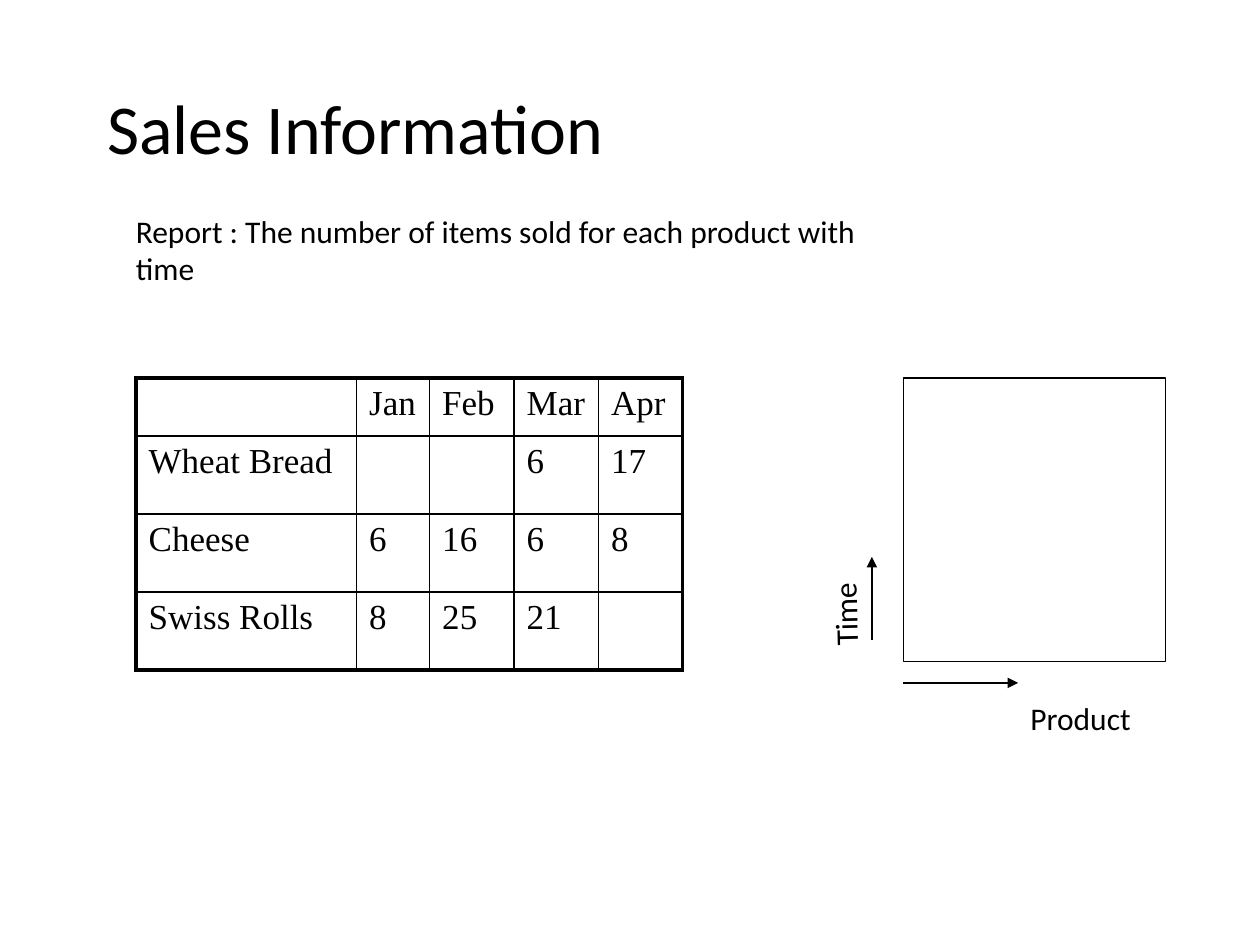
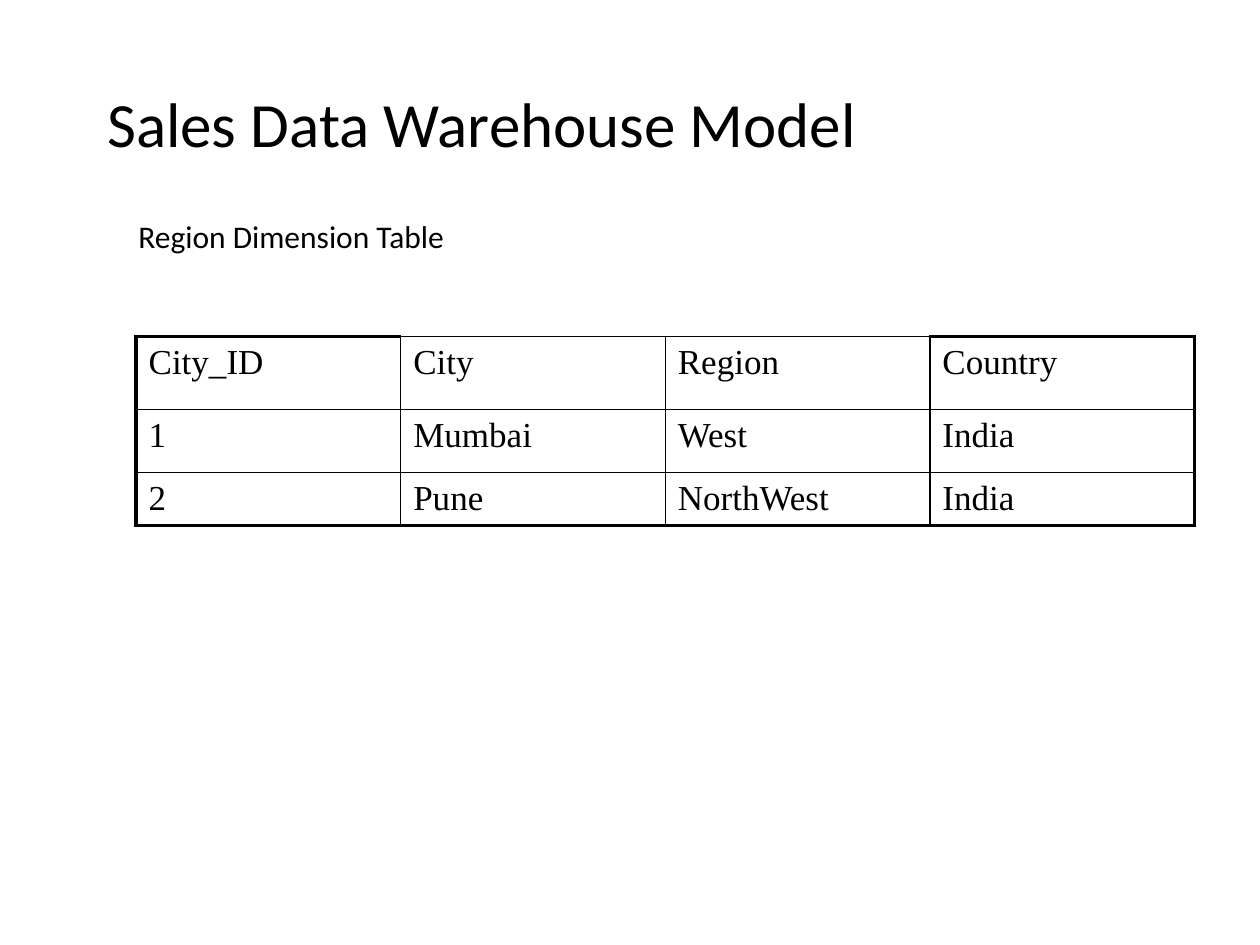
"""Build two slides on a sales data warehouse: a sales report and its region table."""
from lxml.etree import SubElement
from pptx import Presentation
from pptx.dml.color import RGBColor
from pptx.enum.shapes import MSO_CONNECTOR as Connector, MSO_SHAPE as Shape
from pptx.enum.text import MSO_ANCHOR as Anchor, MSO_AUTO_SIZE as AutoSize, PP_ALIGN as Align
from pptx.oxml.ns import qn
from pptx.util import Inches, Pt

COLORS = {"ink": "000000"}
THICK, THIN, OUTLINE = Pt(2.25), Pt(1), Pt(0.75)
TITLE_LEFT, TITLE_TOP, TITLE_WIDTH = 0.75, 0.67, 8.5
TABLE_LEFT = 1.08

LABEL_FONT = {"name": "Calibri", "size": Pt(18)}
TABLE_FONT = {"name": "Times New Roman", "size": Pt(20), "bold": False}

SLIDES = [
    {
        "title": ("Sales Information", 40, 0.75),
        "table": {
            "top": 3,
            "columns": [1.75, 0.58, 0.67, 0.67, 0.67],
            "rows": [0.46, 0.62, 0.62, 0.62],
            "thin_tops": [],
            "cells": [
                ["", "Jan", "Feb", "Mar", "Apr"],
                ["Wheat Bread", "", "", "6", "17"],
                ["Cheese", "6", "16", "6", "8"],
                ["Swiss Rolls", "8", "25", "21", ""],
            ],
        },
        "labels": [
            (["Report : The number of items sold for each product with", "time"],
             (0.98, 1.63, 7.73, 0.9), 0),
            (["Product"], (8.08, 5.5, 1.04, 0.4), 0),
            (["Time"], (6.34, 4.66, 0.73, 0.4), 268.7),
        ],
        "plot_area": (7.17, 3, 2.08, 2.25),
        "axis_arrows": [(7.17, 5.42, 8.08, 5.42), (6.92, 5.08, 6.92, 4.42)],
    },
    {
        "title": ("Sales Data Warehouse Model", 36, 0.67),
        "table": {
            "top": 2.67,
            "columns": [2.1] * 4,
            "rows": [0.58, 0.5, 0.42],
            "thin_tops": [1, 2],
            "cells": [
                ["City_ID", "City", "Region", "Country"],
                ["1", "Mumbai", "West", "India"],
                ["2", "Pune", "NorthWest", "India"],
            ],
        },
        "labels": [(["Region Dimension Table"], (1, 1.67, 3.55, 0.5), 0)],
        "plot_area": None,
        "axis_arrows": [],
    },
]


def inches(values):
    return [Inches(value) for value in values]


def ink():
    return RGBColor.from_string(COLORS["ink"])


def apply_font(paragraph, font_format):
    for name, value in font_format.items():
        setattr(paragraph.font, name, value)
    paragraph.font.color.rgb = ink()


def set_title(slide, text, size, height):
    title = slide.shapes.title
    box = inches((TITLE_LEFT, TITLE_TOP, TITLE_WIDTH, height))
    for name, value in zip(("left", "top", "width", "height"), box):
        setattr(title, name, value)
    frame = title.text_frame
    frame.text = text
    frame.auto_size = AutoSize.NONE
    frame.vertical_anchor = Anchor.MIDDLE
    paragraph = frame.paragraphs[0]
    paragraph.alignment = Align.LEFT
    paragraph.line_spacing = 0.9
    apply_font(paragraph, {"name": "Calibri", "size": Pt(size)})


def add_label(slide, lines, box, rotation):
    label = slide.shapes.add_textbox(*inches(box))
    label.rotation = rotation
    frame = label.text_frame
    frame.text = "\n".join(lines)
    frame.word_wrap = False
    frame.auto_size = AutoSize.SHAPE_TO_FIT_TEXT
    for paragraph in frame.paragraphs:
        apply_font(paragraph, LABEL_FONT)


def set_borders(cell, widths):
    properties = cell._tc.get_or_add_tcPr()
    for side, width in widths.items():
        line = SubElement(properties, qn(f"a:ln{side}"), w=str(width))
        fill = SubElement(line, qn("a:solidFill"))
        SubElement(fill, qn("a:srgbClr"), val=COLORS["ink"])


def add_table(slide, top, columns, rows, thin_tops, cells):
    box = inches((TABLE_LEFT, top, sum(columns), sum(rows)))
    table = slide.shapes.add_table(len(rows), len(columns), *box).table
    table.first_row = table.horz_banding = False
    for column, width in zip(table.columns, columns):
        column.width = Inches(width)
    for row, height in zip(table.rows, rows):
        row.height = Inches(height)
    for row_index, texts in enumerate(cells):
        for column_index, text in enumerate(texts):
            cell = table.cell(row_index, column_index)
            cell.text = text
            apply_font(cell.text_frame.paragraphs[0], TABLE_FONT)
            outer = {
                "L": column_index == 0,
                "R": column_index == len(columns) - 1,
                "T": row_index == 0 and column_index not in thin_tops,
                "B": row_index == len(rows) - 1,
            }
            set_borders(cell, {side: THICK if edge else THIN for side, edge in outer.items()})
            cell.fill.background()


def add_plot_area(slide, box):
    area = slide.shapes.add_shape(Shape.RECTANGLE, *inches(box))
    area.shadow.inherit = False
    area.fill.background()
    area.line.color.rgb = ink()
    area.line.width = OUTLINE


def add_axis_arrow(slide, ends):
    arrow = slide.shapes.add_connector(Connector.STRAIGHT, *inches(ends))
    arrow.line.color.rgb = ink()
    arrow.line.width = OUTLINE
    SubElement(arrow.line._get_or_add_ln(), qn("a:tailEnd"), type="triangle")
    SubElement(arrow._element.spPr, qn("a:effectLst"))


def main():
    presentation = Presentation()
    presentation.slide_width, presentation.slide_height = Inches(10), Inches(7.5)
    for content in SLIDES:
        slide = presentation.slides.add_slide(presentation.slide_layouts[5])
        set_title(slide, *content["title"])
        add_table(slide, **content["table"])
        if content["plot_area"]:
            add_plot_area(slide, content["plot_area"])
        for label in content["labels"]:
            add_label(slide, *label)
        for ends in content["axis_arrows"]:
            add_axis_arrow(slide, ends)
    presentation.save("out.pptx")


if __name__ == "__main__":
    main()
